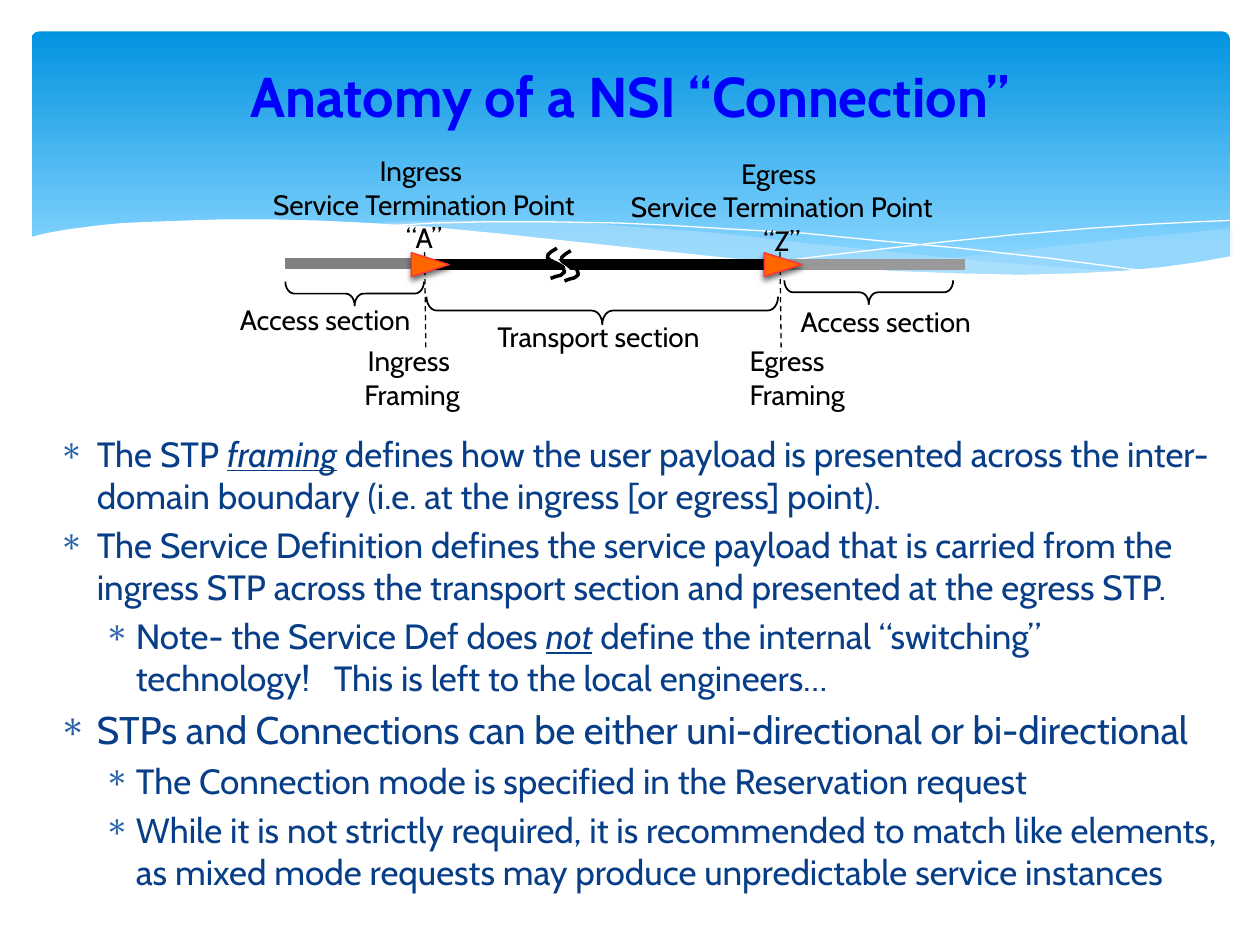
import lxml.etree
import pptx
import pptx.dml.color
import pptx.enum.dml
import pptx.enum.shapes
import pptx.enum.text
import pptx.oxml.ns
import pptx.util

FONT = "Cabin"
SHAPE = pptx.enum.shapes.MSO_SHAPE
ALIGN = pptx.enum.text.PP_ALIGN


def colour(value):
    return pptx.dml.color.RGBColor.from_string(value)


def add_xml(parent, tag, **attributes):
    child = lxml.etree.SubElement(parent, pptx.oxml.ns.qn(tag))
    for key, value in attributes.items():
        child.set(key, str(value))
    return child


deck = pptx.Presentation()
deck.slide_width = pptx.util.Inches(10)
deck.slide_height = pptx.util.Inches(7.5)
cell = deck.slide_width // 100
slide = deck.slides.add_slide(deck.slide_layouts[5])
shapes = slide.shapes

banner = shapes.add_shape(SHAPE.ROUNDED_RECTANGLE, *[int(n * cell) for n in (2.5, 2.5, 95.1, 19.3)])
banner.adjustments[0] = 0.03
banner.shadow.inherit = False
banner.line.fill.background()
banner.fill.gradient()
banner.fill.gradient_angle = 270
for stop, position, shade in zip(banner.fill.gradient_stops, (0, 0.9), ("0293E0", "83D3FE")):
    stop.position = position
    stop.color.rgb = colour(shade)

right_swell = [
    (97.8, 18.1), (95, 18.4), (90.8, 18.8), (86.2, 19.3), (78, 20.2), (70.7, 20.9), (66.3, 21.2),
    (70.7, 21.5), (75.9, 21.7), (80.5, 21.8), (84.6, 21.8), (88.2, 21.6), (91.5, 21.3), (94.4, 20.9),
    (97.8, 20.4)]
middle_swell = [
    (89.4, 21.6), (83.9, 21.2), (77.7, 20.7), (70.8, 20), (63.1, 19.2), (57.1, 18.5), (51.6, 18.1),
    (46.6, 17.7), (42.2, 17.6), (38.1, 17.5), (34.6, 17.5), (31.5, 17.6), (28.8, 17.8), (34.4, 18.1),
    (40.6, 18.7), (45.1, 19.2), (53.1, 20.1), (60.3, 20.9), (66.7, 21.3), (72.4, 21.6), (77.5, 21.8),
    (81.9, 21.8), (85.9, 21.8)]
falling_crest = [
    (31.1, 17.9), (34.5, 17.7), (38.9, 17.6), (43.4, 17.6), (49.1, 17.7), (53.4, 17.9), (58.3, 18.2),
    (63.7, 18.5), (69.7, 19.1), (76.2, 19.7), (83.3, 20.5), (90.9, 21.5)]
rising_crest = [
    (61.5, 20.8), (65.4, 20.3), (69.7, 19.8), (74.9, 19.2), (80.8, 18.6), (86.8, 18.1), (91.2, 17.8),
    (95.2, 17.6), (97.7, 17.5)]
white_wave = [
    (97.9, 20.3), (95.1, 20.8), (92.2, 21.2), (89, 21.5), (85.2, 21.7), (81, 21.8), (76.3, 21.7),
    (70.9, 21.5), (64.9, 21.1), (58.1, 20.5), (50.5, 19.7), (44.9, 19.1), (39.3, 18.5), (34.1, 18),
    (29.4, 17.7), (25.2, 17.5), (21.3, 17.4), (17.8, 17.4), (14.8, 17.5), (12.1, 17.6), (9.7, 17.7),
    (7.7, 17.9), (5.4, 18.2), (3.7, 18.5), (2.5, 18.8), (2.5, 24.2), (97.9, 24.2)]
for outline, shade, opacity in (
        (right_swell, "C6E7FC", 29), (middle_swell, "C6E7FC", 40),
        (falling_crest, None, None), (rising_crest, None, None), (white_wave, "FFFFFF", 100)):
    points = [(x * cell, y * cell) for x, y in outline]
    builder = shapes.build_freeform(*points[0])
    builder.add_line_segments(points[1:], close=shade is not None)
    wave = builder.convert_to_shape()
    wave.shadow.inherit = False
    if shade:
        wave.fill.solid()
        wave.fill.fore_color.rgb = colour(shade)
        wave.line.fill.background()
        tint = wave.element.spPr.find(".//" + pptx.oxml.ns.qn("a:srgbClr"))
        add_xml(tint, "a:alpha", val=opacity * 1000)
    else:
        wave.fill.background()
        wave.line.color.rgb = colour("FFFFFF")
        wave.line.width = 0

statements = [
    (0, 20, ["The STP ", "framing", " defines how the user payload is presented across the inter-domain "
             "boundary (i.e. at the ingress [or egress] point)."]),
    (0, 20, ["The Service Definition defines the service payload that is carried from the ingress STP "
             "across the transport section and presented at the egress STP."]),
    (1, 20, ["Note- the Service Def does ", "not", " define the internal “switching” technology!   "
             "This is left to the local engineers…"]),
    (0, 22, ["STPs and Connections can be either uni-directional or bi-directional"]),
    (1, 20, ["The Connection mode is specified in the Reservation request"]),
    (1, 20, ["While it is not strictly required, it is recommended to match like elements, as mixed "
             "mode requests may produce unpredictable service instances"])]
explanation = shapes.add_textbox(*[int(n * cell) for n in (3.7, 33.8, 94.3, 37.9)]).text_frame
explanation.word_wrap = True
for row, (level, size, parts) in enumerate(statements):
    statement = explanation.add_paragraph() if row else explanation.paragraphs[0]
    statement.level = level
    statement.space_before = pptx.util.Pt(size * 0.2)
    statement.font.name = FONT
    statement.font.size = pptx.util.Pt(size)
    statement.font.color.rgb = colour("073E87")
    for index, part in enumerate(parts):
        run = statement.add_run()
        run.text = part
        if index == 1:
            run.font.italic = True
            run.font.underline = True
    margin, indent = ((3, -3), (6.1, -2.5))[level]
    properties = statement._p.get_or_add_pPr()
    properties.set("marL", str(int(margin * cell)))
    properties.set("indent", str(int(indent * cell)))
    bullet_colour = add_xml(properties, "a:buClr")
    add_xml(bullet_colour, "a:srgbClr", val="2862AA")
    bullet = add_xml(properties, "a:buChar", char="∗")
    defaults = properties.find(pptx.oxml.ns.qn("a:defRPr"))
    bullet.addnext(defaults)

heading = shapes.title
shapes.element.append(heading.element)
heading.left, heading.top, heading.width, heading.height = [int(n * cell) for n in (5, 2.3, 90, 10.5)]
heading.text_frame.text = "Anatomy of a NSI “Connection”"
heading.text_frame.vertical_anchor = pptx.enum.text.MSO_ANCHOR.MIDDLE
title_line = heading.text_frame.paragraphs[0]
title_line.alignment = ALIGN.CENTER
title_line.font.name = FONT
title_line.font.size = pptx.util.Pt(32)
title_line.font.bold = True
title_line.font.color.rgb = colour("0000FF")

for x1, y1, x2, y2, shade, weight in (
        (62, 21, 76.6, 21, "999999", 6), (33.7, 20.9, 22.6, 20.9, "7F7F7F", 6),
        (33.3, 21, 60.7, 21, "000000", 6),
        (61.9, 20, 62, 27.9, "000000", 0.75), (33.7, 20, 33.8, 27.8, "000000", 0.75)):
    section = shapes.add_connector(
        pptx.enum.shapes.MSO_CONNECTOR.STRAIGHT, *[int(n * cell) for n in (x1, y1, x2, y2)])
    section.line.color.rgb = colour(shade)
    section.line.width = pptx.util.Pt(weight)
    if weight < 1:
        section.line.dash_style = pptx.enum.dml.MSO_LINE.DASH
    add_xml(section.element.spPr, "a:effectLst")

for left in (33.2, 61.2):
    endpoint = shapes.add_shape(
        SHAPE.ISOSCELES_TRIANGLE, *[int(n * cell) for n in (left, 19.5, 1.9, 3)])
    endpoint.rotation = 90
    endpoint.fill.solid()
    endpoint.fill.fore_color.rgb = colour("FF6600")
    endpoint.line.color.rgb = colour("FF323B")
    endpoint.line.width = pptx.util.Pt(0.75)
    endpoint.shadow.inherit = False
    effects = endpoint.element.spPr.find(pptx.oxml.ns.qn("a:effectLst"))
    shadow = add_xml(effects, "a:outerShdw", blurRad=pptx.util.Pt(3.2), dist=pptx.util.Pt(2),
                     dir=5400000, rotWithShape=0)
    add_xml(add_xml(shadow, "a:srgbClr", val="000000"), "a:alpha", val=60000)

for box in ((27.2, 17.8, 1.9, 11), (68, 16.5, 1.9, 13.4), (46.7, 10.7, 2.2, 27.9)):
    brace = shapes.add_shape(SHAPE.LEFT_BRACE, *[int(n * cell) for n in box])
    brace.rotation = 270
    brace.adjustments[0] = 0.375
    brace.shadow.inherit = False
    brace.fill.background()
    brace.line.color.rgb = colour("000000")
    brace.line.width = pptx.util.Pt(1)

for box, lines, alignment in (
        ((20.5, 11.7, 26.3, 9.1), ("Ingress ", "Service Termination Point ", "“A”"), ALIGN.CENTER),
        ((48.9, 11.9, 26.3, 9.1), ("Egress ", "Service Termination Point ", "“Z”"), ALIGN.CENTER),
        ((38.2, 24.9, 18.6, 3.7), ("Transport section",), ALIGN.CENTER),
        ((62.4, 23.7, 15.8, 3.7), ("Access section",), ALIGN.CENTER),
        ((17.9, 23.5, 15.8, 3.7), ("Access section",), ALIGN.CENTER),
        ((58.5, 26.8, 9.8, 6.4), ("Egress", "Framing "), ALIGN.LEFT),
        ((27.8, 26.8, 9.8, 6.4), ("Ingress ", "Framing"), ALIGN.CENTER)):
    caption = shapes.add_textbox(*[int(n * cell) for n in box]).text_frame
    caption.word_wrap = False
    caption.auto_size = pptx.enum.text.MSO_AUTO_SIZE.SHAPE_TO_FIT_TEXT
    caption.text = "\n".join(lines)
    for line in caption.paragraphs:
        line.alignment = alignment
        line.font.name = FONT
        line.font.size = pptx.util.Pt(16)
        line.font.color.rgb = colour("000000")

gap = shapes.add_shape(SHAPE.RECTANGLE, *[int(n * cell) for n in (44.3, 19.7, 0.3, 2.4)])
gap.rotation = 311.4
gap.shadow.inherit = False
gap.fill.solid()
gap.fill.fore_color.rgb = colour("FFFFFF")
gap.line.fill.background()

squiggle = [(0.8, 0), (0.4, 0.25), (0.1, 0.5), (0.05, 0.75), (0.25, 0.95), (0.9, 1.25),
            (1.3, 1.5), (1.4, 1.9), (1.1, 2.15), (0.7, 2.25), (0.3, 2.4)]
for left, top in ((43.4, 19.7), (44.5, 19.9)):
    points = [((left + x) * cell, (top + y) * cell) for x, y in squiggle]
    builder = shapes.build_freeform(*points[0])
    builder.add_line_segments(points[1:], close=False)
    break_mark = builder.convert_to_shape()
    break_mark.shadow.inherit = False
    break_mark.fill.background()
    break_mark.line.color.rgb = colour("000000")
    break_mark.line.width = pptx.util.Pt(2)

deck.save("out.pptx")
